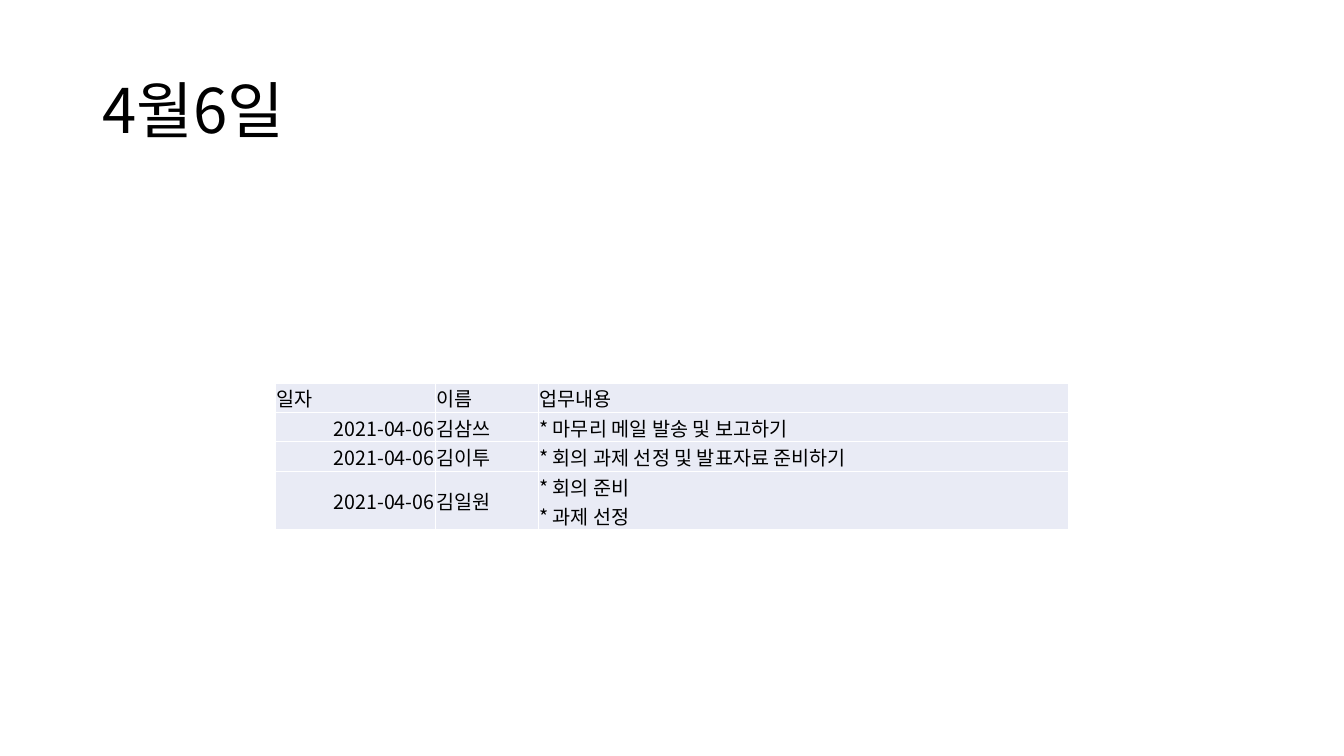
from lxml import etree
from pptx import Presentation
from pptx import util as u
from pptx.dml.color import RGBColor
from pptx.enum import text
from pptx.oxml import ns

FONT = "Noto Sans CJK KR"
COLORS = {"text": "000000", "cell": "E9EBF5", "border": "FFFFFF"}
DATE = "2021-04-06"
ROWS = [
    ("일자", "이름", "업무내용"),
    (DATE, "김삼쓰", "* 마무리 메일 발송 및 보고하기"),
    (DATE, "김이투", "* 회의 과제 선정 및 발표자료 준비하기"),
    (DATE, "김일원", "* 회의 준비\n* 과제 선정"),
]
COL_WIDTHS = (1.59, 1.02, 5.26)
ROW_HEIGHTS = (0.29, 0.29, 0.3, 0.57)


def style_paragraph(p, size):
    """Set the Latin and East Asian font, size and colour of a paragraph."""
    p.font.size = u.Pt(size)
    p.font.color.rgb = RGBColor.from_string(COLORS["text"])
    p.font.name = FONT
    latin = p._p.pPr.find(ns.qn("a:defRPr")).find(ns.qn("a:latin"))
    ea = etree.Element(ns.qn("a:ea"), typeface=FONT)
    latin.addnext(ea)


def add_borders(cell):
    """Draw a thin line on all four sides of a cell."""
    tcPr = cell._tc.get_or_add_tcPr()
    for i, side in enumerate(("lnL", "lnR", "lnT", "lnB")):
        ln = etree.Element(ns.qn("a:" + side), w=str(u.Pt(1)))
        fill = etree.SubElement(ln, ns.qn("a:solidFill"))
        etree.SubElement(fill, ns.qn("a:srgbClr"), val=COLORS["border"])
        tcPr.insert(i, ln)


def add_title(s, left, top, width, height):
    """Place the date heading in the given box."""
    box = s.shapes.add_textbox(*map(u.Inches, (left, top, width, height)))
    tf = box.text_frame
    tf.word_wrap = True
    tf.vertical_anchor = text.MSO_ANCHOR.MIDDLE
    p = tf.paragraphs[0]
    p.text = "4월6일"
    p.line_spacing = 0.9
    style_paragraph(p, 44)


def add_task_table(s, left, top, width, height):
    """Place the table of daily tasks in the given box."""
    box = map(u.Inches, (left, top, width, height))
    table = s.shapes.add_table(len(ROWS), len(COL_WIDTHS), *box).table
    table.first_row = table.horz_banding = False
    for column, w in zip(table.columns, COL_WIDTHS):
        column.width = u.Inches(w)
    for row, h, values in zip(table.rows, ROW_HEIGHTS, ROWS):
        row.height = u.Inches(h)
        for cell, value in zip(row.cells, values):
            cell.margin_left = cell.margin_right = cell.margin_top = u.Inches(0.01)
            cell.margin_bottom = 0
            cell.vertical_anchor = text.MSO_ANCHOR.MIDDLE
            cell.fill.solid()
            cell.fill.fore_color.rgb = RGBColor.from_string(COLORS["cell"])
            add_borders(cell)
            p = cell.text_frame.paragraphs[0]
            p.text = value
            if value == DATE:
                p.alignment = text.PP_ALIGN.RIGHT
            style_paragraph(p, 14)


def main():
    """Build the slide and save it."""
    prs = Presentation()
    prs.slide_width, prs.slide_height = u.Inches(13.33), u.Inches(7.5)
    s = prs.slides.add_slide(prs.slide_layouts[6])
    add_title(s, 0.92, 0.4, 11.5, 1.45)
    add_task_table(s, 2.73, 3.8, sum(COL_WIDTHS), sum(ROW_HEIGHTS))
    prs.save("out.pptx")


if __name__ == "__main__":
    main()
